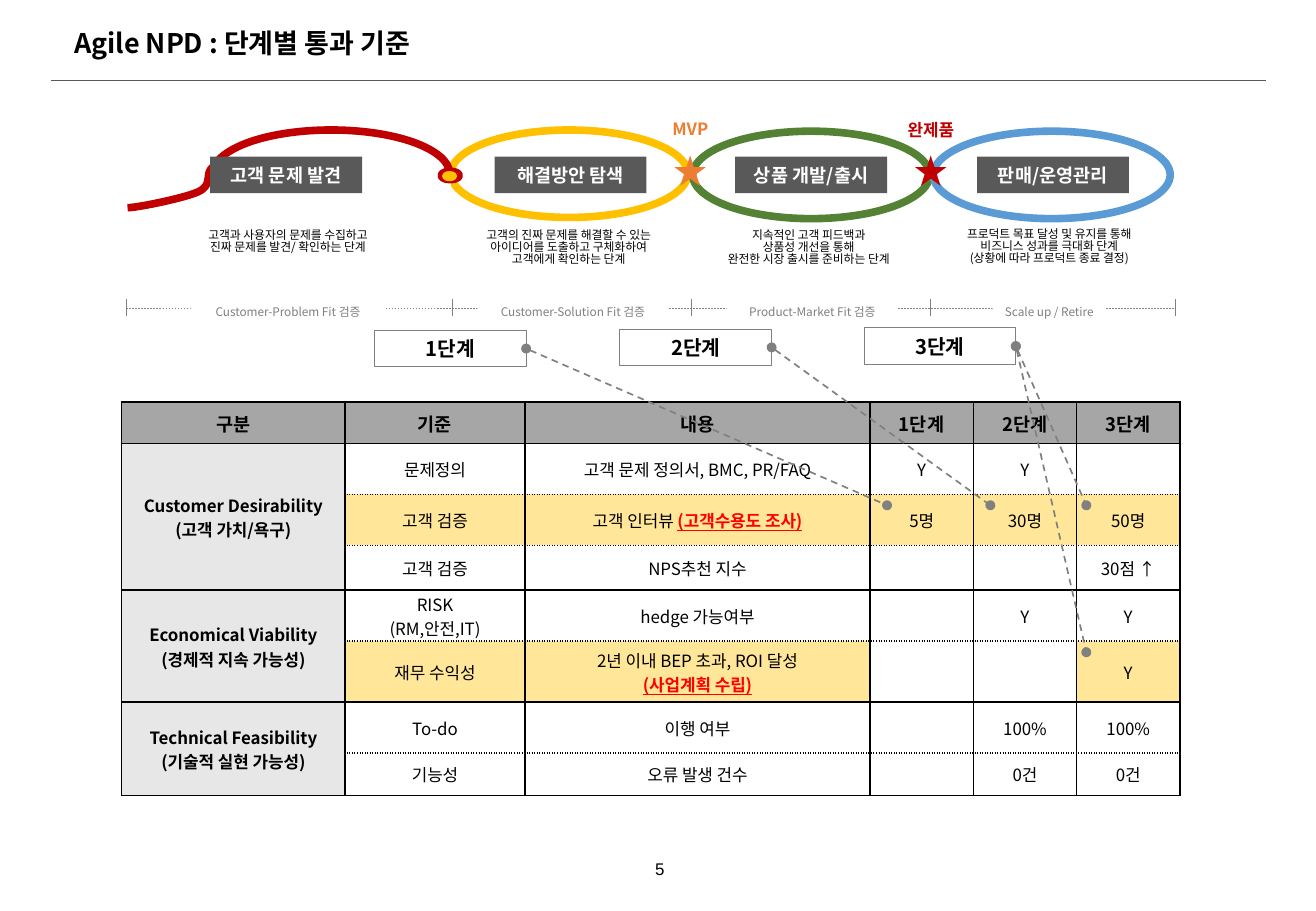
from lxml import etree
from pptx import Presentation
from pptx import util as u
from pptx.dml.color import RGBColor
from pptx.enum import dml, shapes, text
from pptx.oxml.ns import qn

HUES = {
    "black": "000000", "white": "FFFFFF", "dark": "595959", "gray": "808080",
    "head": "A6A6A6", "side": "E7E7E7", "sand": "FFE699", "hot": "FF0000",
    "red": "C00000", "gold": "FFC000", "green": "548235", "blue": "5B9BD5",
    "orange": "ED7D31",
}
FONT = "Noto Sans CJK KR"
RECT = shapes.MSO_SHAPE.RECTANGLE
OVAL = shapes.MSO_SHAPE.OVAL
STAR = shapes.MSO_SHAPE.STAR_5_POINT
MID, TOP = text.MSO_ANCHOR.MIDDLE, text.MSO_ANCHOR.TOP
MITTE, LEFT = text.PP_ALIGN.CENTER, text.PP_ALIGN.LEFT
COLS, ROWS = 108.3, 75  # grid of the slide


def cell(n):
    """Length of n grid cells, each a tenth of an inch."""
    return u.Inches(n / 10)


def hue(name):
    return RGBColor.from_string(HUES[name])


class Board:
    def __init__(self):
        self.deck = Presentation()
        self.deck.slide_width, self.deck.slide_height = cell(COLS), cell(ROWS)
        self.slide = self.deck.slides.add_slide(self.deck.slide_layouts[5])
        self.items = self.slide.shapes

    def fill_in(self, frame, words, size, ink="black", bold=False,
                align=MITTE, font=FONT, space=None):
        """Fill a frame: newline parts paragraphs, a bar starts a marked run."""
        for i, line in enumerate(words.split("\n")):
            para = frame.paragraphs[0] if i == 0 else frame.add_paragraph()
            para.alignment = align
            if space:
                para.line_spacing = space
            for j, part in enumerate(line.split("|")):
                if not part:
                    continue
                run = para.add_run()
                run.text = part
                face = run.font
                face.size, face.bold = u.Pt(size), bold or j == 1
                face.underline = j == 1
                face.color.rgb = hue("hot" if j == 1 else ink)
                face.name = font
                etree.SubElement(run._r.rPr, qn("a:ea"), typeface=font)

    def title(self, words, x, y, w, h):
        head = self.items.title
        head.left, head.top, head.width, head.height = map(cell, (x, y, w, h))
        head.text_frame.vertical_anchor = TOP
        self.fill_in(head.text_frame, words, 16, bold=True, align=LEFT)

    def label(self, words, x, y, w, h, size, anchor=TOP, **style):
        frame = self.items.add_textbox(*map(cell, (x, y, w, h))).text_frame
        frame.word_wrap = True
        frame.vertical_anchor = anchor
        self.fill_in(frame, words, size, **style)

    def paint(self, shape, fill, line, width):
        shape.shadow.inherit = False
        if fill:
            shape.fill.solid()
            shape.fill.fore_color.rgb = hue(fill)
        else:
            shape.fill.background()
        if line:
            shape.line.color.rgb = hue(line)
            shape.line.width = u.Pt(width)
        else:
            shape.line.fill.background()

    def shape(self, kind, x, y, w, h, fill=None, line=None, width=4.5,
              words="", **style):
        form = self.items.add_shape(kind, *map(cell, (x, y, w, h)))
        self.paint(form, fill, line, width)
        if words:
            form.text_frame.word_wrap = True
            form.text_frame.vertical_anchor = MID
            self.fill_in(form.text_frame, words, **style)
        return form

    def curve(self, start, bends, line, steps=12):
        """Draw an open outline through cubic bends (two handles, one end)."""
        dots, last = [], start
        for bend in bends:
            knots = (last, *bend)
            for k in range(1, steps + 1):
                t = k / steps
                mix = ((1 - t) ** 3, 3 * t * (1 - t) ** 2,
                       3 * t * t * (1 - t), t ** 3)
                dots.append(tuple(cell(sum(m * p[a] for m, p in zip(mix, knots)))
                                  for a in (0, 1)))
            last = bend[-1]
        pen = self.items.build_freeform(*map(cell, start))
        pen.add_line_segments(dots, close=False)
        self.paint(pen.convert_to_shape(), None, line, 4.5)

    def line(self, x, y, x2, y2, ink="gray", width=0.5, dash=False,
             dots=False, source=None):
        link = self.items.add_connector(shapes.MSO_CONNECTOR.STRAIGHT,
                                        *map(cell, (x, y, x2, y2)))
        if source is not None:
            link.begin_connect(source, 3)
        link.line.color.rgb = hue(ink)
        link.line.width = u.Pt(width)
        if dash:
            link.line.dash_style = dml.MSO_LINE.DASH
        if dots:
            for end in ("a:headEnd", "a:tailEnd"):
                etree.SubElement(link.line._ln, qn(end), type="oval")
        etree.SubElement(link._element.spPr, qn("a:effectLst"))

    def edge(self, box, side, dash):
        ln = etree.SubElement(box._tc.get_or_add_tcPr(), qn("a:ln" + side), w="12700")
        fill = etree.SubElement(ln, qn("a:solidFill"))
        etree.SubElement(fill, qn("a:srgbClr"), val=HUES["black"])
        etree.SubElement(ln, qn("a:prstDash"), val=dash)

    def table(self, x, y, wide, tall, data, groups, marked):
        grid = self.items.add_table(
            len(tall), len(wide), *map(cell, (x, y, sum(wide), sum(tall)))).table
        grid.first_row = grid.horz_banding = False
        for col, w in zip(grid.columns, wide):
            col.width = cell(w)
        for row, h in zip(grid.rows, tall):
            row.height = cell(h)
        starts = [first for first, _ in groups]
        for r, line in enumerate(data):
            for c, words in enumerate(line):
                box = grid.cell(r, c)
                box.margin_left = box.margin_right = box.margin_top = cell(0.1)
                box.margin_bottom = 0
                box.vertical_anchor = MID
                for side, row in (("L", 0), ("R", 0), ("T", r), ("B", r + 1)):
                    solid = c == 0 or row in (0, len(data), *starts)
                    self.edge(box, side, "solid" if solid else "sysDot")
                box.fill.solid()
                box.fill.fore_color.rgb = hue(
                    "head" if r == 0 else "side" if c == 0
                    else "sand" if (r, c) in marked else "white")
                self.fill_in(box.text_frame, words, 11 if r == 0 else 10,
                             bold=r == 0 or c == 0)
        for first, last in groups:
            grid.cell(first, 0).merge(grid.cell(last, 0))


def main():
    board = Board()
    board.title("Agile NPD : 단계별 통과 기준", 5.1, 1.7, 58, 3.7)
    board.line(4.2, 6.6, 104.2, 6.6, "dark", 0.25)

    # loops of the process
    for x, y, ink in ((37.1, 10.7, "gold"), (57, 10.8, "green"), (17.5, 10.7, "red")):
        board.shape(OVAL, x, y, 19.5, 7.2, line=ink)
    board.curve((18.1, 13.2), (
        ((17.9, 13.4), (17.6, 13.6), (17.3, 14)),
        ((17, 14.5), (17.4, 15.3), (16.3, 15.8)),
        ((15.2, 16.3), (11.3, 17.1), (10.5, 17.1))), "red")
    board.shape(OVAL, 17.6, 11.6, 19.2, 7.2, "white", "white")
    board.shape(OVAL, 36.3, 14.1, 1.5, 0.7, line="red")
    board.shape(OVAL, 36.7, 14.4, 0.6, 0.2, line="gold")
    board.shape(OVAL, 76.8, 10.8, 19.5, 7.2, line="blue")

    for x, name in ((40.7, "해결방안 탐색"), (60.5, "상품 개발/출시"),
                    (17.3, "고객 문제 발견"), (80.4, "판매/운영관리")):
        board.shape(RECT, x, 12.9, 12.5, 3, "dark", words=name, size=11,
                    ink="white", bold=True)

    for x, y, w, h, words in (
            (13.2, 18.5, 21, 3.4, "고객과 사용자의 문제를 수집하고\n진짜 문제를 발견/ 확인하는 단계"),
            (36.3, 18.5, 21, 4.5, "고객의 진짜 문제를 해결할 수 있는\n"
             "아이디어를 도출하고 구체화하여\n고객에게 확인하는 단계"),
            (55.3, 18.5, 22.5, 4.5, "지속적인 고객 피드백과\n상품성 개선을 통해\n"
             "완전한 시장 출시를 준비하는 단계"),
            (76.8, 18.4, 19.1, 4.5, "프로덕트 목표 달성 및 유지를 통해\n"
             "비즈니스 성과를 극대화 단계\n(상황에 따라 프로덕트 종료 결정)")):
        board.label(words, x, y, w, h, 7, space=0.82)

    # scale of the fits
    board.line(10.4, 25.4, 96.6, 25.4, width=0.25, dash=True)
    for x in (10.4, 37.2, 56.9, 76.6, 96.7):
        board.line(x, 24.6, x, 26)
    for x, w, name in ((15.7, 16, "Customer-Problem Fit 검증"),
                       (39.3, 15.7, "Customer-Solution Fit 검증"),
                       (59.8, 14.1, "Product-Market Fit 검증"),
                       (81.7, 9.3, "Scale up / Retire")):
        board.shape(RECT, x, 24.6, w, 2.2, "white", words=name, size=7, ink="gray")

    for x, y, name, ink in ((51.9, 9.1, "MVP", "orange"), (71.7, 9.2, "완제품", "red")):
        board.shape(RECT, x, y, 9.8, 3, words=name, size=10, ink=ink, bold=True)
        board.shape(STAR, x + 3.6, 12.8, 2.6, 2.5, ink)

    gates = [board.shape(RECT, x, y, 12.5, 3, line="gray", width=0.5,
                         words=name, size=12, bold=True)
             for x, y, name in ((30.8, 27.2, "1단계"), (51, 27.1, "2단계"),
                                (71.1, 27, "3단계"))]

    board.table(
        10, 33.1, (18.4, 14.8, 28.4, 8.5, 8.5, 8.5),
        (3.4, 4.2, 4.2, 3.7, 4.2, 5, 4.2, 3.5), (
            ("구분", "기준", "내용", "1단계", "2단계", "3단계"),
            ("Customer Desirability\n(고객 가치/욕구)", "문제정의",
             "고객 문제 정의서, BMC, PR/FAQ", "Y", "Y", ""),
            ("", "고객 검증", "고객 인터뷰 |(고객수용도 조사)", "5명", "30명", "50명"),
            ("", "고객 검증", "NPS추천 지수", "", "", "30점 ↑"),
            ("Economical Viability\n(경제적 지속 가능성)", "RISK\n(RM,안전,IT)",
             "hedge 가능여부", "", "Y", "Y"),
            ("", "재무 수익성", "2년 이내 BEP 초과, ROI 달성\n|(사업계획 수립)", "", "", "Y"),
            ("Technical Feasibility\n(기술적 실현 가능성)", "To-do", "이행 여부",
             "", "100%", "100%"),
            ("", "기능성", "오류 발생 건수", "", "0건", "0건")),
        groups=((1, 3), (4, 5), (6, 7)),
        marked={(2, c) for c in range(1, 6)} | {(5, 1), (5, 2), (5, 5)})

    for gate, x, y in ((0, 73, 41.6), (1, 81.5, 41.6), (2, 89.4, 41.6), (2, 89.4, 53.7)):
        board.line(0, 0, x, y, width=1, dash=True, dots=True, source=gates[gate])

    board.label("5", 42.1, 69.5, 24.4, 4, 10, MID, font="Arial")
    board.deck.save("out.pptx")


if __name__ == "__main__":
    main()
